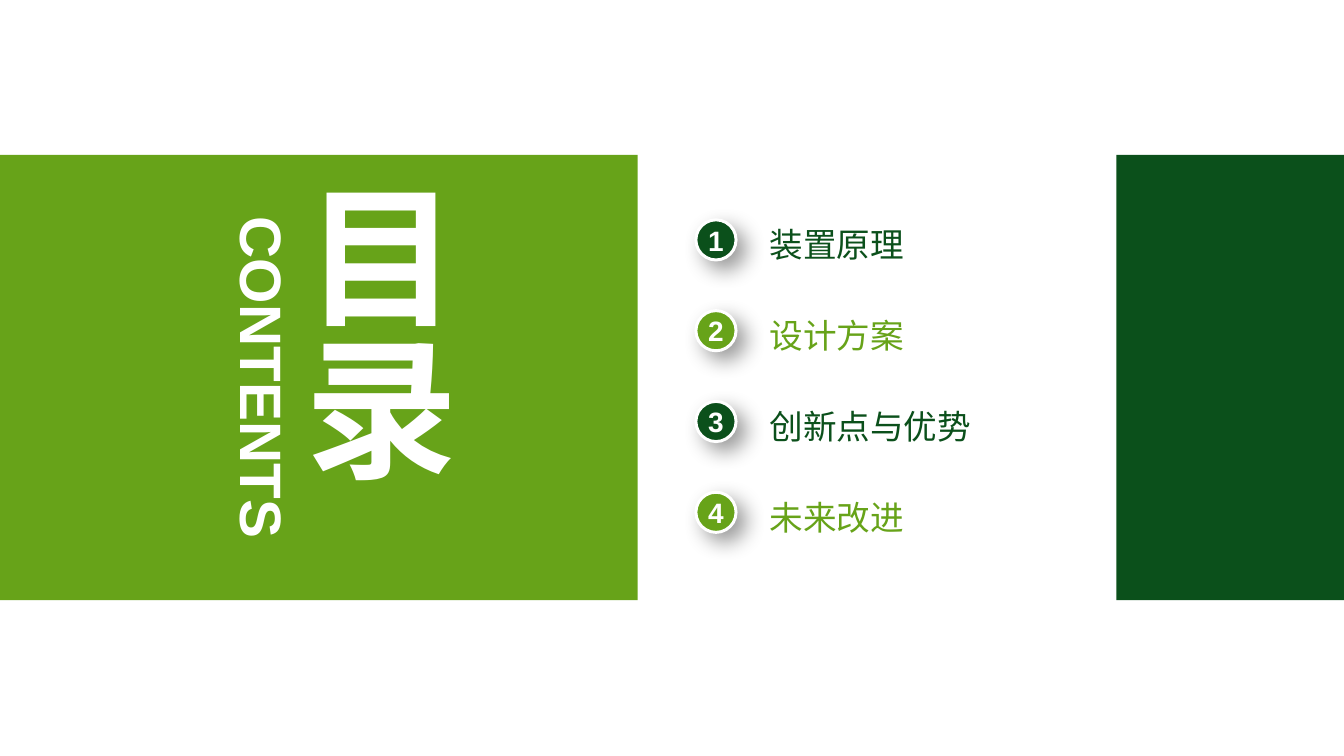
from lxml.etree import SubElement
from pptx import Presentation
from pptx.dml.color import RGBColor
from pptx.enum.shapes import MSO_SHAPE
from pptx.enum.text import MSO_ANCHOR, PP_ALIGN
from pptx.oxml.ns import qn
from pptx.util import Inches, Pt

LIME = RGBColor(0x67, 0xA3, 0x19)
FOREST = RGBColor(0x0B, 0x50, 0x1B)
WHITE = RGBColor(0xFF, 0xFF, 0xFF)
WIDTH, HEIGHT = 14.06, 7.91
BAND_TOP, BAND_HEIGHT = 1.62, 4.66
TOPICS = ["装置原理", "设计方案", "创新点与优势", "未来改进"]


def write(shape, text, size, color, align=PP_ALIGN.LEFT, bold=False):
    """Fill a shape with one unpadded, vertically centred line of text."""
    frame = shape.text_frame
    frame.margin_left = frame.margin_right = 0
    frame.margin_top = frame.margin_bottom = 0
    frame.word_wrap = True
    frame.vertical_anchor = MSO_ANCHOR.MIDDLE
    frame.text = text
    para = frame.paragraphs[0]
    para.alignment = align
    font = para.runs[0].font
    font.name, font.size, font.bold = "Arial", Pt(size), bold
    font.color.rgb = color
    return shape


def add_label(page, left, top, width, height, *style):
    """Add a text box holding one line of text."""
    box = page.shapes.add_textbox(Inches(left), Inches(top), Inches(width), Inches(height))
    return write(box, *style)


def add_filled(page, kind, left, top, width, height, color):
    """Add a flat filled shape without an outline."""
    shape = page.shapes.add_shape(kind, Inches(left), Inches(top), Inches(width), Inches(height))
    shape.shadow.inherit = False
    shape.fill.solid()
    shape.fill.fore_color.rgb = color
    shape.line.fill.background()
    return shape


def cast_shadow(shape):
    """Give a shape a soft shadow towards the lower right."""
    effects = shape._element.spPr.find(qn("a:effectLst"))
    shadow = SubElement(effects, qn("a:outerShdw"), blurRad=str(Pt(16)), dist=str(Pt(9)),
                        dir="2700000", algn="tl", rotWithShape="0")
    black = SubElement(shadow, qn("a:srgbClr"), val="000000")
    SubElement(black, qn("a:alpha"), val="40000")


def add_title_panel(page, left, top, width, height):
    """Draw the lime panel with the two vertical titles."""
    add_filled(page, MSO_SHAPE.RECTANGLE, left, top, width, height, LIME)
    title = add_label(page, left + 2.97, top + 0.26, 1.94, 4.15,
                      "目录", 115, WHITE, PP_ALIGN.LEFT, True)
    title.text_frame._txBody.bodyPr.set("vert", "eaVert")
    subtitle = add_label(page, left + 0.95, top + (height - 0.74) / 2, 3.61, 0.74,
                         "CONTENTS", 44, WHITE, PP_ALIGN.CENTER, True)
    subtitle.rotation = 90


def add_topics(page, left, top, pitch):
    """List the numbered topics in alternating greens."""
    for row, topic in enumerate(TOPICS):
        color = (FOREST, LIME)[row % 2]
        row_top = top + row * pitch
        badge = add_filled(page, MSO_SHAPE.OVAL, left, row_top, 0.42, 0.42, color)
        badge.line.color.rgb = WHITE
        badge.line.width = Pt(2.25)
        cast_shadow(badge)
        write(badge, str(row + 1), 21.1, WHITE, PP_ALIGN.CENTER, True)
        add_label(page, left + 0.77, row_top + 0.04, 2.7, 0.43, topic, 25.3, color)


def main():
    """Build the contents slide."""
    deck = Presentation()
    deck.slide_width, deck.slide_height = Inches(WIDTH), Inches(HEIGHT)
    page = deck.slides.add_slide(deck.slide_layouts[6])
    add_title_panel(page, 0, BAND_TOP, 6.67, BAND_HEIGHT)
    add_topics(page, 7.28, BAND_TOP + 0.68, 0.95)
    add_filled(page, MSO_SHAPE.RECTANGLE, 11.68, BAND_TOP, WIDTH - 11.68, BAND_HEIGHT, FOREST)
    deck.save("out.pptx")


if __name__ == "__main__":
    main()
